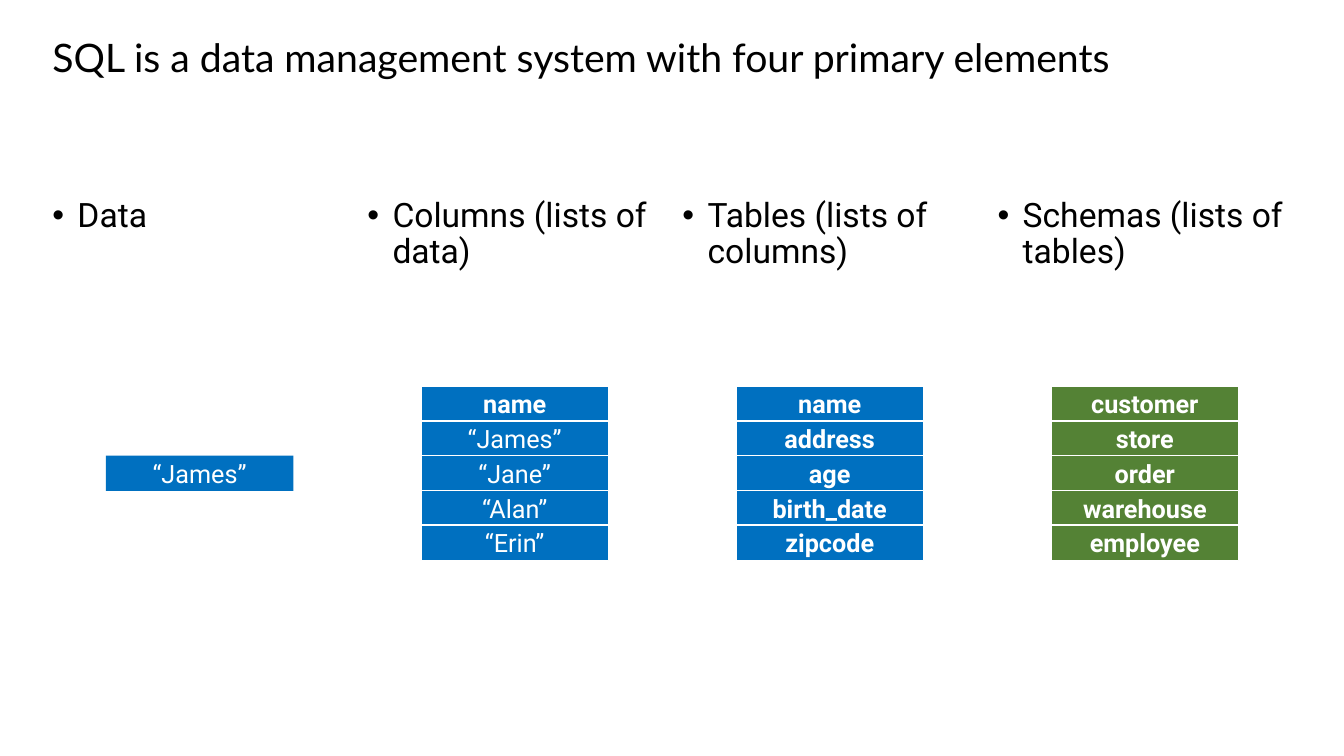
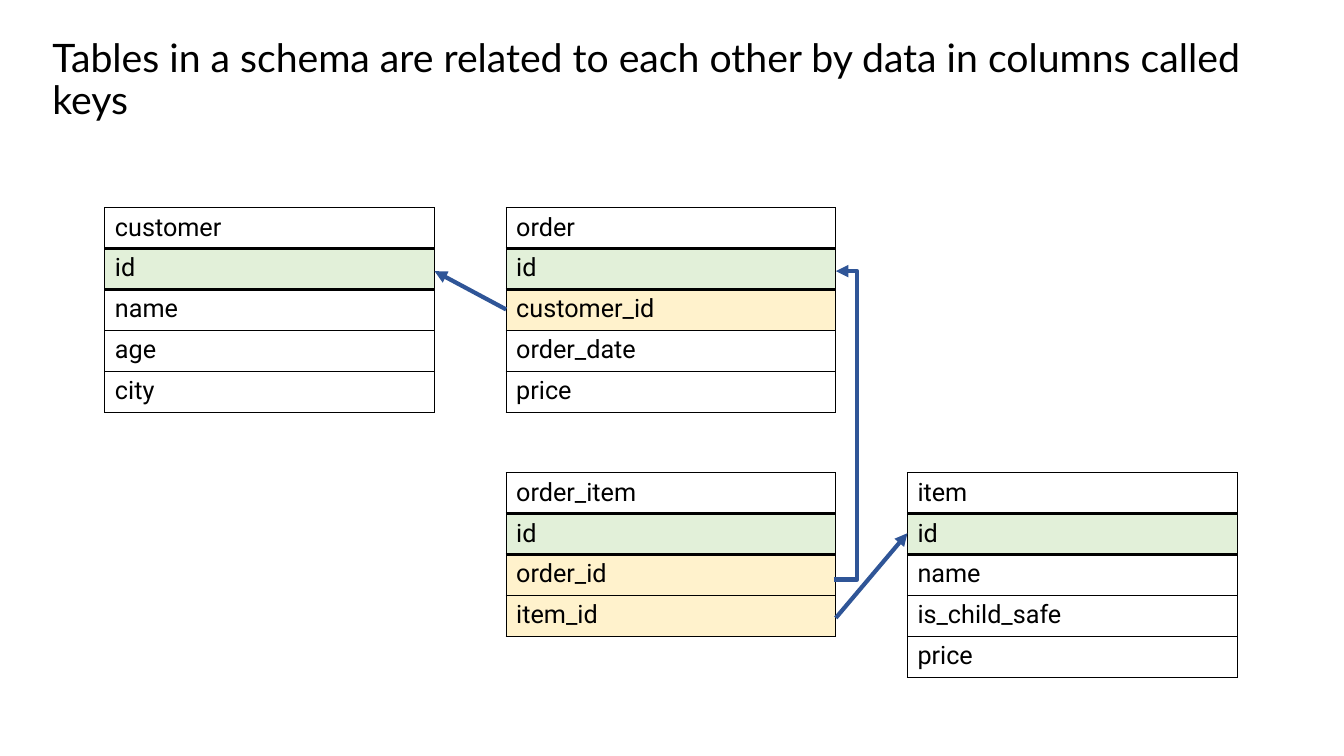
from dataclasses import dataclass
from lxml.etree import SubElement
from pptx import Presentation
from pptx.dml.color import RGBColor
from pptx.enum.shapes import MSO_CONNECTOR, MSO_SHAPE
from pptx.enum.text import MSO_ANCHOR, MSO_AUTO_SIZE, PP_ALIGN
from pptx.oxml.ns import qn
from pptx.util import Inches, Pt


@dataclass(frozen=True)
class Theme:
    """Colours, fonts and type sizes of the deck."""
    black: RGBColor = RGBColor.from_string("000000")
    white: RGBColor = RGBColor.from_string("FFFFFF")
    blue: RGBColor = RGBColor.from_string("0070C0")
    green: RGBColor = RGBColor.from_string("548235")
    arrow: RGBColor = RGBColor.from_string("2F5597")
    primary_key: RGBColor = RGBColor.from_string("E2F0D9")
    foreign_key: RGBColor = RGBColor.from_string("FFF2CC")
    title_font: str = "Lato"
    body_font: str = "Roboto"
    title_size: Pt = Pt(28)
    bullet_size: Pt = Pt(24)
    label_size: Pt = Pt(18)


theme = Theme()


def write(tf, text, size, color, font=theme.body_font, bold=False):
    """Put one formatted run into a text frame and return its paragraph."""
    tf.word_wrap = True
    p = tf.paragraphs[0]
    r = p.add_run()
    r.text = text
    for name, value in {"size": size, "name": font, "bold": bold}.items():
        setattr(r.font, name, value)
    r.font.color.rgb = color
    return p


def add_titled_slide(prs, title):
    """Add a title-only slide with the shared title style."""
    s = prs.slides.add_slide(prs.slide_layouts[5])
    sp = s.shapes.title
    place = {"left": 0.42, "top": 0.33, "width": 12.5, "height": 1}
    for name, value in place.items():
        setattr(sp, name, Inches(value))
    tf = sp.text_frame
    tf.auto_size = MSO_AUTO_SIZE.NONE
    tf.vertical_anchor = MSO_ANCHOR.TOP
    p = write(tf, title, theme.title_size, theme.black, theme.title_font)
    p.alignment = PP_ALIGN.LEFT
    p.line_spacing = 0.9
    return s


prs = Presentation()
prs.slide_width, prs.slide_height = Inches(13.33), Inches(7.5)

# Slide 1: four elements, each a bullet above a stack of bars
s = add_titled_slide(prs, "SQL is a data management system with four primary elements")
COLUMN_LEFT, COLUMN_PITCH = 0.42, 3.125
STACK_TOP, BAR_PITCH = 3.83, 0.345

# heading, colour, row of the first bar, number of bold bars, bars
elements = [
    ("Data", theme.blue, 2, 0, ["“James”"]),
    ("Columns (lists of data)", theme.blue, 0, 1,
     ["name", "“James”", "“Jane”", "“Alan”", "“Erin”"]),
    ("Tables (lists of columns)", theme.blue, 0, 5,
     ["name", "address", "age", "birth_date", "zipcode"]),
    ("Schemas (lists of tables)", theme.green, 0, 5,
     ["customer", "store", "order", "warehouse", "employee"]),
]
for column, (heading, color, first_row, bold_bars, bars) in enumerate(elements):
    left = COLUMN_LEFT + column * COLUMN_PITCH
    sp = s.shapes.add_textbox(Inches(left), Inches(1.92), Inches(3.12), Inches(1))
    p = write(sp.text_frame, heading, theme.bullet_size, theme.black)
    p.line_spacing, p.space_before = 0.9, Pt(10)
    pPr = p._p.get_or_add_pPr()
    pPr.set("marL", str(Inches(0.25)))
    pPr.set("indent", str(Inches(-0.25)))
    SubElement(pPr, qn("a:buFont"), typeface="Arial")
    SubElement(pPr, qn("a:buChar"), char="•")

    for i, label in enumerate(bars):
        top = STACK_TOP + (first_row + i) * BAR_PITCH
        sp = s.shapes.add_shape(MSO_SHAPE.RECTANGLE, Inches(left + 0.63),
                                Inches(top), Inches(1.86), Inches(0.35))
        sp.shadow.inherit = False
        sp.fill.solid()
        sp.fill.fore_color.rgb = color
        if len(bars) > 1:
            sp.line.color.rgb = theme.white
            sp.line.width = Pt(1)
        else:
            sp.line.fill.background()
        sp.text_frame.vertical_anchor = MSO_ANCHOR.MIDDLE
        p = write(sp.text_frame, label, theme.label_size, theme.white, bold=i < bold_bars)
        p.alignment = PP_ALIGN.CENTER

# Slide 2: schema tables joined by their keys
s = add_titled_slide(
    prs, "Tables in a schema are related to each other by data in columns called keys")
TABLE_WIDTH, ROW_HEIGHT = 3.27, 0.406
THIN, THICK = Pt(1), Pt(2.25)

schema = [
    (1.04, 2.06, ["customer", "id", "name", "age", "city"]),
    (5.02, 2.06, ["order", "id", "customer_id", "order_date", "price"]),
    (5.02, 4.69, ["order_item", "id", "order_id", "item_id"]),
    (9, 4.69, ["item", "id", "name", "is_child_safe", "price"]),
]
for left, top, fields in schema:
    table = s.shapes.add_table(
        len(fields), 1, Inches(left), Inches(top), Inches(TABLE_WIDTH),
        Inches(ROW_HEIGHT * len(fields))).table
    table.first_row = table.horz_banding = False
    for row, field in enumerate(fields):
        table.rows[row].height = Inches(ROW_HEIGHT)
        cell = table.cell(row, 0)
        write(cell.text_frame, field, theme.label_size, theme.black)
        borders = {"L": THIN, "R": THIN,
                   "T": THICK if row in (1, 2) else THIN,
                   "B": THICK if row in (0, 1) else THIN}
        tcPr = cell._tc.get_or_add_tcPr()
        for side, width in borders.items():
            ln = SubElement(tcPr, qn(f"a:ln{side}"), w=str(width))
            fill = SubElement(ln, qn("a:solidFill"))
            SubElement(fill, qn("a:srgbClr"), val=str(theme.black))
        if field == "id" or field.endswith("_id"):
            cell.fill.solid()
            cell.fill.fore_color.rgb = theme.primary_key if field == "id" else theme.foreign_key
        else:
            cell.fill.background()

# Each arrow runs from a foreign key to the primary key it refers to
arrows = [
    (MSO_CONNECTOR.STRAIGHT, (5.02, 3.07), (4.31, 2.69)),
    (MSO_CONNECTOR.STRAIGHT, (8.29, 6.13), (9, 5.29)),
    (MSO_CONNECTOR.ELBOW, (8.27, 5.75), (8.29, 2.69)),
]
ELBOW_X = 8.5
for kind, start, end in arrows:
    cxn = s.shapes.add_connector(kind, *map(Inches, start + end))
    cxn.line.color.rgb = theme.arrow
    cxn.line.width = Pt(3)
    SubElement(cxn.line._get_or_add_ln(), qn("a:tailEnd"), type="triangle")
    spPr = cxn._element.spPr
    SubElement(spPr, qn("a:effectLst"))
    if kind == MSO_CONNECTOR.ELBOW:
        bend = round((ELBOW_X - start[0]) / (end[0] - start[0]) * 100000)
        avLst = spPr.find(qn("a:prstGeom")).get_or_add_avLst()
        SubElement(avLst, qn("a:gd"), name="adj1", fmla=f"val {bend}")

prs.save("out.pptx")
